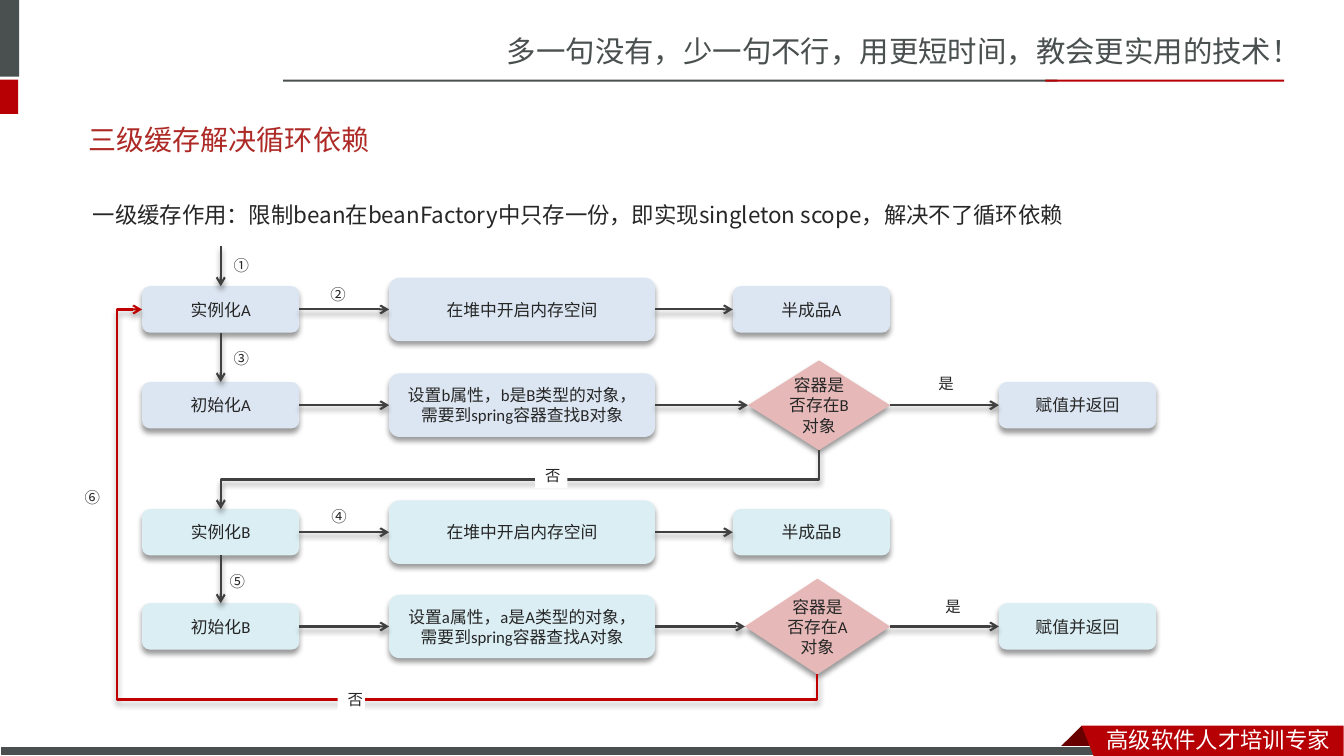
import pptx
import pptx.util
import pptx.dml.color
import pptx.enum.shapes
import pptx.enum.text
import pptx.oxml
import pptx.oxml.ns

RGBColor = pptx.dml.color.RGBColor
SHAPE = pptx.enum.shapes.MSO_SHAPE
CONNECTOR = pptx.enum.shapes.MSO_CONNECTOR
ALIGN = pptx.enum.text.PP_ALIGN
ANCHOR = pptx.enum.text.MSO_ANCHOR
qn = pptx.oxml.ns.qn

GREY = RGBColor(0x49, 0x50, 0x4F)
RED = RGBColor(0xB6, 0x00, 0x04)
DARK_RED = RGBColor(0x68, 0x00, 0x00)
TITLE_RED = RGBColor(0xAD, 0x2A, 0x26)
LOOP_RED = RGBColor(0xC0, 0x00, 0x00)
INK = RGBColor(0x26, 0x26, 0x26)
LINE = RGBColor(0x40, 0x40, 0x40)
BLUE = RGBColor(0xDC, 0xE6, 0xF2)
TEAL = RGBColor(0xDB, 0xEE, 0xF4)
PINK = RGBColor(0xE6, 0xB9, 0xB8)
WHITE = RGBColor(0xFF, 0xFF, 0xFF)

CJK_SC, CJK_JP = "Noto Sans CJK SC", "Noto Sans CJK JP"
TOP, LEFT, BOTTOM, RIGHT = range(4)

# Grid of square cells, ten to the inch; flowchart columns are (left, width)
CELL = pptx.util.Inches(0.1)
STEP, ACTION, RESULT, RETURN = (14.1, 15.6), (38.6, 26.4), (72.7, 15.6), (99.1, 15.6)
BOX_ROWS, ACTION_ROWS = 4.6, 6.3


def grid(*cells):
    return [round(n * CELL) for n in cells]


class FlowSlide:
    def __init__(self, prs):
        self.slide = prs.slides.add_slide(prs.slide_layouts[1])
        self.shapes = self.slide.shapes

    def set_text(self, sp, text, size, font, color, align=ALIGN.LEFT, anchor=ANCHOR.TOP, spacing=None):
        tf = sp.text_frame
        tf.text = text
        tf.word_wrap = True
        tf.vertical_anchor = anchor
        p = tf.paragraphs[0]
        p.alignment = align
        if spacing:
            p.line_spacing = spacing
            p.space_before = pptx.util.Pt(size * 0.2)
        r = p.runs[0]
        r.font.size = pptx.util.Pt(size)
        r.font.name = font
        r.font.color.rgb = color
        ea = pptx.oxml.parse_xml(f'<a:ea {pptx.oxml.ns.nsdecls("a")} typeface="{font if "CJK" in font else CJK_SC}"/>')
        r.font._element.find(qn("a:latin")).addnext(ea)
        return p

    def placeholder(self, index, box, text, size, font, color, **style):
        sp = self.slide.placeholders[index]
        sp.left, sp.top, sp.width, sp.height = grid(*box)
        p = self.set_text(sp, text, size, font, color, **style)
        pPr = p._p.get_or_add_pPr()
        pPr.set("marL", "0")
        pPr.set("indent", "0")
        pPr.append(pPr.makeelement(qn("a:buNone"), {}))

    def text(self, box, text, size, font, color, fill=None, **style):
        sp = self.shapes.add_textbox(*grid(*box))
        if fill is not None:
            sp.fill.solid()
            sp.fill.fore_color.rgb = fill
        self.set_text(sp, text, size, font, color, **style)

    def label(self, text, left, top, width=5.5, height=5.1, fill=None):
        self.text((left, top, width, height), text, 11, CJK_JP, INK, fill, spacing=1.5)

    def paint(self, sp, fill):
        sp.shadow.inherit = False
        sp.fill.solid()
        sp.fill.fore_color.rgb = fill
        sp.line.fill.background()
        return sp

    def shape(self, kind, box, fill):
        return self.paint(self.shapes.add_shape(kind, *grid(*box)), fill)

    def outline(self, points, fill):
        start, *rest = [grid(*point) for point in points]
        fb = self.shapes.build_freeform(*start)
        fb.add_line_segments(rest, close=True)
        self.paint(fb.convert_to_shape(), fill)

    def cast_shadow(self, sp):
        spPr = sp._element.spPr
        old = spPr.find(qn("a:effectLst"))
        if old is not None:
            spPr.remove(old)
        spPr.append(pptx.oxml.parse_xml(
            f'<a:effectLst {pptx.oxml.ns.nsdecls("a")}>'
            '<a:outerShdw blurRad="50800" dist="38100" dir="5400000" algn="t" rotWithShape="0">'
            '<a:srgbClr val="000000"><a:alpha val="40000"/></a:srgbClr></a:outerShdw></a:effectLst>'))

    def node(self, text, column, row, fill, rows=BOX_ROWS, kind=SHAPE.ROUNDED_RECTANGLE):
        left, width = column
        sp = self.shape(kind, (left, row - rows / 2, width, rows), fill)
        self.cast_shadow(sp)
        self.set_text(sp, text, 12, "Calibri", INK, ALIGN.CENTER, ANCHOR.MIDDLE)
        return sp

    def decision(self, text, column, row, rows):
        sp = self.node(text, column, row, PINK, rows, SHAPE.FLOWCHART_DECISION)
        sp.text_frame.margin_left = sp.text_frame.margin_right = pptx.util.Inches(0.05)
        return sp

    def arrow(self, end, end_side, begin=None, begin_side=RIGHT, point=(0, 0), kind=CONNECTOR.STRAIGHT, color=LINE):
        c = self.shapes.add_connector(kind, *grid(*point, *point))
        if begin is not None:
            c.begin_connect(begin, begin_side)
        c.end_connect(end, end_side)
        c.line.color.rgb = color
        c.line.width = pptx.util.Pt(1.5)
        ln = c.line._get_or_add_ln()
        ln.append(ln.makeelement(qn("a:tailEnd"), {"type": "arrow"}))
        self.cast_shadow(c)
        return c

    def elbow(self, begin, end, end_side, preset, adjustments, color=LINE):
        """Leave the bottom of one node: the bent route is turned a quarter."""
        c = self.arrow(end, end_side, begin, BOTTOM, kind=CONNECTOR.ELBOW, color=color)
        x1, y1, x2, y2 = c.begin_x, c.begin_y, c.end_x, c.end_y
        c.width, c.height = abs(y2 - y1), abs(x2 - x1)
        c.left, c.top = (x1 + x2 - c.width) // 2, (y1 + y2 - c.height) // 2
        xfrm = c._element.spPr.find(qn("a:xfrm"))
        for name, value in (("rot", "5400000"), ("flipH", str(int(y2 < y1))), ("flipV", "0")):
            xfrm.set(name, value)
        geom = c._element.spPr.find(qn("a:prstGeom"))
        geom.set("prst", preset)
        avLst = geom.find(qn("a:avLst"))
        for i, value in enumerate(adjustments, 1):
            avLst.append(avLst.makeelement(qn("a:gd"), {"name": f"adj{i}", "fmla": f"val {value}"}))


def main():
    prs = pptx.Presentation()
    prs.slide_width, prs.slide_height = grid(133.33, 75)
    s = FlowSlide(prs)

    # Header and footer bands
    s.text((49.3, 2.8, 84.1, 4.7), "多一句没有，少一句不行，用更短时间，教会更实用的技术！", 21, CJK_SC, GREY)
    for box, fill in (((0, 0, 1.9, 7.6), GREY), ((0, 7.9, 1.8, 3.4), RED),
                      ((28.1, 7.9, 76.8, 0.2), GREY), ((103.7, 7.9, 23.7, 0.2), RED)):
        s.shape(SHAPE.RECTANGLE, box, fill)
    s.outline([(107.3, 72), (109.5, 74.2), (109.4, 74.3), (105.2, 74.3), (105.1, 74.2)], DARK_RED)
    bar = s.shape(SHAPE.RECTANGLE, (0, 74.1, 109.9, 0.9), GREY)
    bar.line.color.rgb = WHITE
    bar.line.width = pptx.util.Pt(0.75)
    s.outline([(107.3, 72), (133.3, 72), (133.3, 75), (108.5, 75)], RED)
    s.text((108.8, 71.5, 24.5, 3.7), "高级软件人才培训专家", 16, CJK_SC, WHITE)

    # Title and statement
    s.placeholder(0, (7.8, 11, 117, 5.7), "三级缓存解决循环依赖", 20, "Arial", TITLE_RED, anchor=ANCHOR.MIDDLE)
    s.placeholder(1, (8.2, 18.1, 117, 7),
                  "一级缓存作用：限制bean在beanFactory中只存一份，即实现singleton scope，解决不了循环依赖",
                  16, CJK_JP, INK, spacing=1.5)

    # One pair of rows for each bean: create, then initialise
    beans = (("A", "B", BLUE, 30.7, 40.2, (74.2, 14.1), 8.9),
             ("B", "A", TEAL, 52.8, 62.15, (73.9, 14.4), 9.5))
    creates, checks = [], []
    for bean, other, fill, create_row, init_row, check_column, check_rows in beans:
        create = s.node(f"实例化{bean}", STEP, create_row, fill)
        init = s.node(f"初始化{bean}", STEP, init_row, fill)
        heap = s.node("在堆中开启内存空间", ACTION, create_row, fill, ACTION_ROWS)
        lookup = s.node(f"设置{other.lower()}属性，{other.lower()}是{other}类型的对象，需要到spring容器查找{other}对象",
                        ACTION, init_row, fill, ACTION_ROWS)
        half_done = s.node(f"半成品{bean}", RESULT, create_row, fill)
        check = s.decision(f"容器是否存在{other}对象", check_column, init_row, check_rows)
        done = s.node("赋值并返回", RETURN, init_row, fill)
        for begin, end in ((create, heap), (heap, half_done), (init, lookup), (lookup, check), (check, done)):
            s.arrow(end, LEFT, begin)
        s.arrow(init, TOP, create, BOTTOM)
        creates.append(create)
        checks.append(check)

    # Entry, hand-over to the second bean, and the loop back
    s.arrow(creates[0], TOP, point=(21.9, 24.4))
    s.elbow(checks[0], creates[1], TOP, "bentConnector3", [50000])
    s.elbow(checks[1], creates[0], LEFT, "bentConnector4", [-6900, 103700], LOOP_RED)

    # Step numbers and branch labels
    for text, left, top in (("①", 22.2, 24), ("②", 31.8, 26.9), ("③", 22.2, 33.2), ("④", 31.9, 48.9),
                            ("⑤", 21.8, 55.3), ("⑥", 7.4, 47), ("是", 92.1, 35.7), ("是", 92.8, 57.8)):
        s.label(text, left, top)
    s.label("否", 53.1, 44.8, 3.2, 3.6, WHITE)
    s.label("否", 33.5, 67.1, 2.7, 4, WHITE)

    prs.save("out.pptx")


if __name__ == "__main__":
    main()
